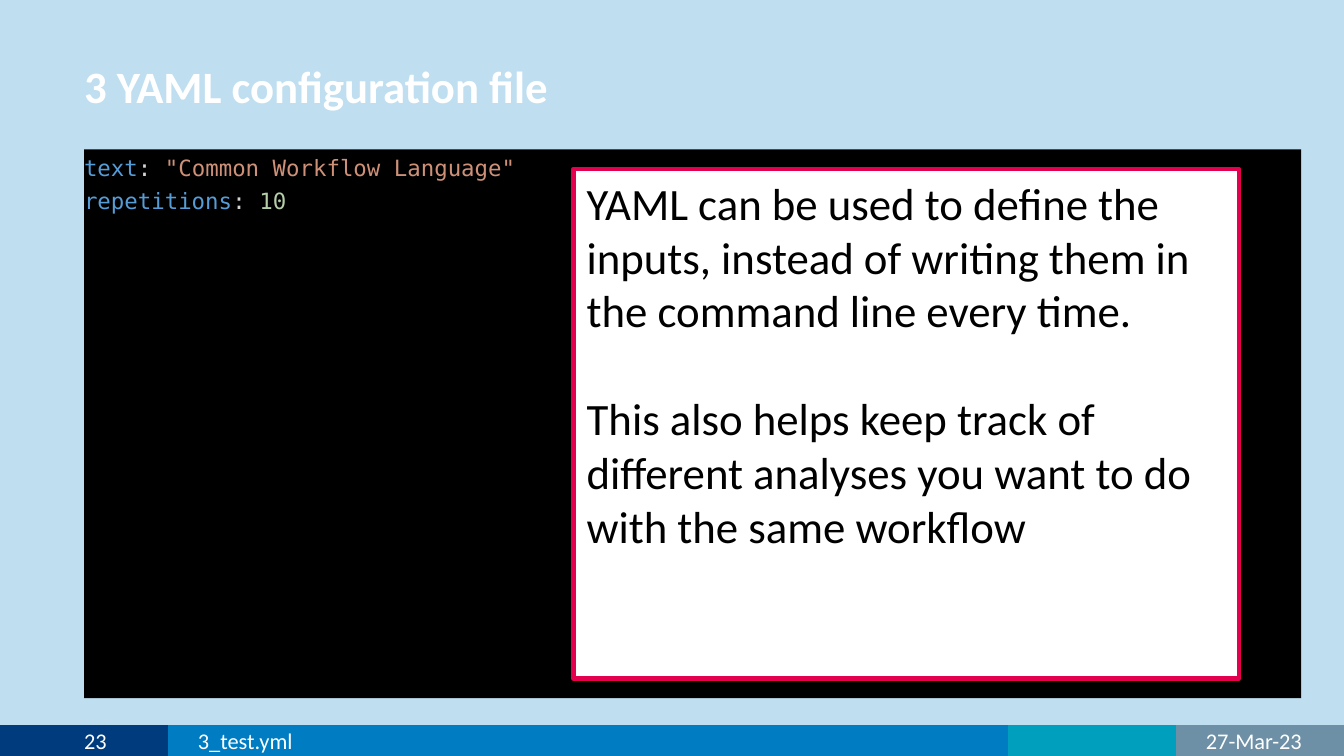
from pptx import Presentation
from pptx.util import Pt
from pptx.dml.color import RGBColor
from pptx.enum import shapes as sh, text as tx

HUES = {
    "sky": "BFDEF0", "slate": "6E90A6", "blue": "007CC2", "navy": "003C7D",
    "teal": "009FBD", "black": "000000", "white": "FFFFFF", "red": "E3004F",
    "key": "569CD6", "mark": "D4D4D4", "string": "CE9178", "number": "B5CEA8",
}
SANS, MONO = "Calibri", "DejaVu Sans Mono"


def hue(name):
    return RGBColor.from_string(HUES[name])


class Deck:
    def __init__(self, wide, high):
        self.prs = Presentation()
        self.prs.slide_width, self.prs.slide_height = Pt(wide), Pt(high)
        self.slide = self.prs.slides.add_slide(self.prs.slide_layouts[5])
        fill = self.slide.background.fill
        fill.solid()
        fill.fore_color.rgb = hue("sky")

    def frame(self, shape, anchor, inset=(0, 0, 0, 0)):
        frame = shape.text_frame
        frame.word_wrap = True
        frame.auto_size = tx.MSO_AUTO_SIZE.NONE
        frame.vertical_anchor = anchor
        (frame.margin_left, frame.margin_top,
         frame.margin_right, frame.margin_bottom) = map(Pt, inset)
        return frame

    def style(self, para, size, color=None, face=SANS, bold=False, align=tx.PP_ALIGN.LEFT):
        para.alignment = align
        font = para.font
        font.size, font.name, font.bold = Pt(size), face, bold
        if color:
            font.color.rgb = hue(color)

    def rect(self, x, y, w, h, fill, line=None):
        shape = self.slide.shapes.add_shape(
            sh.MSO_SHAPE.RECTANGLE, Pt(x), Pt(y), Pt(w), Pt(h))
        shape.shadow.inherit = False
        shape.fill.solid()
        shape.fill.fore_color.rgb = hue(fill)
        if line:
            shape.line.color.rgb = hue(line)
            shape.line.width = Pt(2.25)
        else:
            shape.line.fill.background()
        return shape

    def title(self, x, y, w, h, words):
        shape = self.slide.shapes.title
        shape.left, shape.top, shape.width, shape.height = map(Pt, (x, y, w, h))
        frame = self.frame(shape, tx.MSO_ANCHOR.BOTTOM, (0, 0, 0, 6))
        frame.text = words
        para = frame.paragraphs[0]
        para.line_spacing = 0.96
        self.style(para, 24, "white", bold=True)

    def label(self, x, y, w, h, words, align=tx.PP_ALIGN.LEFT):
        box = self.slide.shapes.add_textbox(Pt(x), Pt(y), Pt(w), Pt(h))
        frame = self.frame(box, tx.MSO_ANCHOR.MIDDLE)
        frame.text = words
        self.style(frame.paragraphs[0], 12, "white", align=align)

    def code(self, x, y, w, h, lines):
        frame = self.frame(self.rect(x, y, w, h, "black"), tx.MSO_ANCHOR.TOP)
        for i, parts in enumerate(lines):
            para = frame.add_paragraph() if i else frame.paragraphs[0]
            para.line_spacing = 1.2
            self.style(para, 12, face=MONO)
            for words, color in parts:
                run = para.add_run()
                run.text = words
                run.font.color.rgb = hue(color)

    def note(self, x, y, w, h, paras, gap):
        shape = self.rect(x, y, w, h, "white", "red")
        frame = self.frame(shape, tx.MSO_ANCHOR.TOP, (7.2, 3.6, 7.2, 3.6))
        for i, words in enumerate(paras):
            para = frame.add_paragraph() if i else frame.paragraphs[0]
            para.text = words
            if i:
                para.space_before = Pt(gap)
            self.style(para, 24, "black")

    def save(self):
        self.prs.save("out.pptx")


def main():
    deck = Deck(720, 405)
    for x, w, fill in ((630, 90, "slate"), (90, 540, "blue"),
                       (0, 90, "navy"), (540, 90, "teal")):
        deck.rect(x, 388.5, w, 17, fill)
    deck.code(45, 80, 652, 294, (
        (("text", "key"), (": ", "mark"), ('"Common Workflow Language"', "string")),
        (("repetitions", "key"), (": ", "mark"), ("10", "number")),
    ))
    deck.title(45, 0, 522, 67, "3 YAML configuration file")
    deck.label(45, 387.5, 40, 18, "23")
    deck.label(106, 387.5, 434, 18, "3_test.yml")
    deck.label(630, 387.5, 67.5, 18, "27-Mar-23", tx.PP_ALIGN.RIGHT)
    deck.note(307.2, 90.5, 356.5, 273, (
        "YAML can be used to define the inputs, instead of writing them in "
        "the command line every time.",
        "This also helps keep track of different analyses you want to do "
        "with the same workflow",
    ), 29)
    deck.save()


if __name__ == "__main__":
    main()
